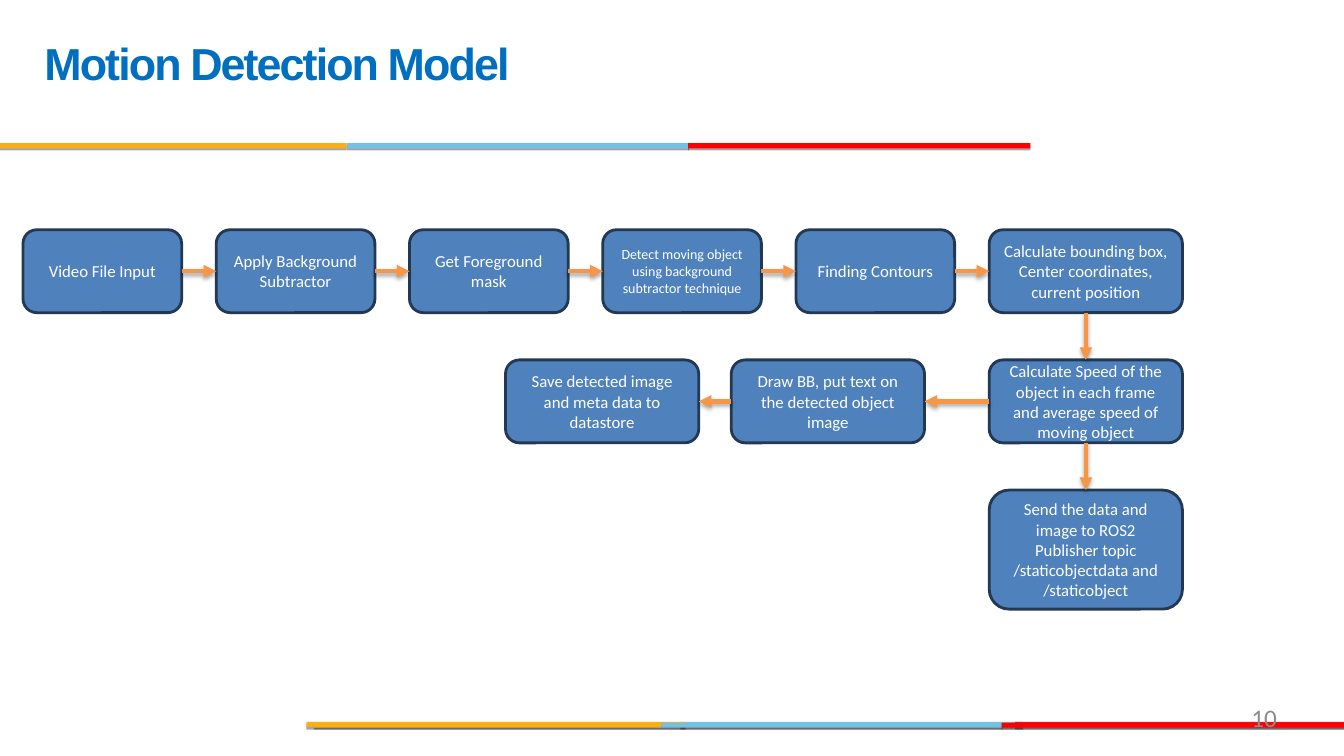
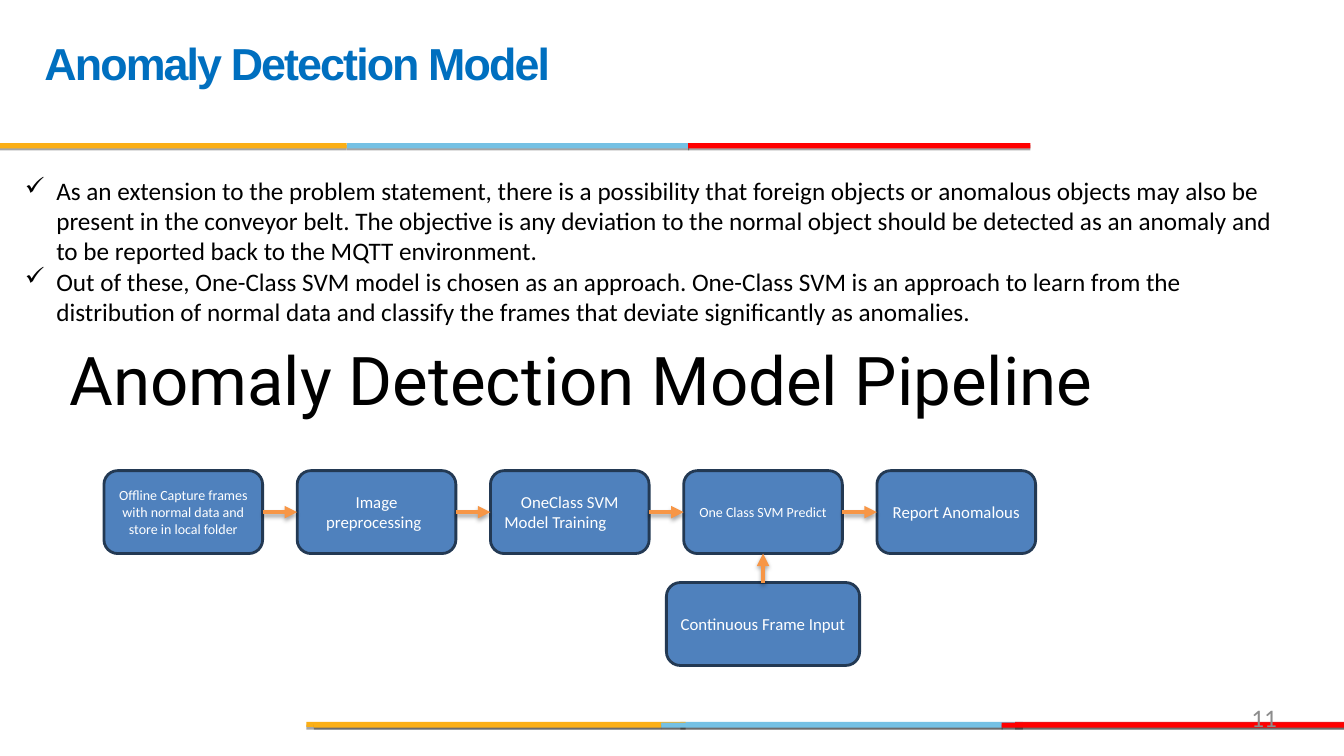
"""Build two slides showing the motion and anomaly detection pipelines."""
from lxml import etree
from pptx import Presentation
from pptx.dml.color import RGBColor
from pptx.enum.shapes import MSO_CONNECTOR, MSO_SHAPE
from pptx.enum.text import MSO_ANCHOR, PP_ALIGN
from pptx.oxml.ns import qn
from pptx.util import Cm, Pt

RECT, ROUNDED = MSO_SHAPE.RECTANGLE, MSO_SHAPE.ROUNDED_RECTANGLE
STRAIGHT = MSO_CONNECTOR.STRAIGHT
LEFT, CENTER, RIGHT = PP_ALIGN.LEFT, PP_ALIGN.CENTER, PP_ALIGN.RIGHT
MIDDLE = MSO_ANCHOR.MIDDLE
TOP_SIDE, LEFT_SIDE, BOTTOM_SIDE, RIGHT_SIDE = range(4)

COLORS = {
    "title": "006FBF", "number": "8C8C8C", "text": "000000", "box_text": "FFFFFF",
    "box": "4F81BD", "box_line": "233953", "arrow": "F79646", "shadow": "000000",
    "amber": "FBAF16", "sky": "75C1E4", "red": "FF0000", "crimson": "E21B23",
}
BODY_FONT, TITLE_FONT, HEADING_FONT = "Calibri", "Arial", "Roboto"

BAR_H = 0.13
BANDS = [
    (18.19, 18.26, [(17.15, 8.63, "sky"), (25.58, 8.29, "crimson"), (7.72, 9.56, "amber")]),
    (18.21, 18.26, [(16.66, 8.61, "sky"), (7.91, 8.75, "amber"), (25.24, 8.63, "red")]),
    (3.61, 3.66, [(8.74, 8.63, "sky"), (0, 8.74, "amber"), (17.34, 8.63, "red")]),
]

BOX_W, WIDE_W, BOX_H, TALL_H = 4.0, 4.87, 2.09, 3.0
STEP_X, STEP_Y = 4.87, 3.28

MOTION = {
    "title": "Motion Detection Model",
    "number": "10",
    "origin": (0.58, 5.79),
    "row": [
        ("Video File Input", 12, BOX_W),
        ("Apply Background Subtractor", 12, BOX_W),
        ("Get Foreground mask", 12, BOX_W),
        ("Detect moving object using background subtractor technique", 10, BOX_W),
        ("Finding Contours", 12, BOX_W),
        ("Calculate bounding box, Center coordinates, current position", 12, WIDE_W),
    ],
}
SPEED = "Calculate Speed of the object in each frame and average speed of moving object"
PUBLISH = ("Send the data and image to ROS2 Publisher topic "
           "/staticobjectdata and /staticobject")
DRAW = "Draw BB, put text on the detected object image"
SAVE = "Save detected image and meta data to datastore"
DRAW_X, SAVE_X = 18.43, 12.74

ANOMALY = {
    "title": "Anomaly Detection Model",
    "number": "11",
    "origin": (2.62, 11.86),
    "row": [
        ("Offline Capture frames with normal data and store in local folder", 10, BOX_W),
        ("Image preprocessing\t", 12, BOX_W),
        ("OneClass SVM Model Training\t", 12, BOX_W),
        ("One Class SVM Predict", 10, BOX_W),
        ("Report Anomalous", 12, BOX_W),
    ],
}
BULLETS = [
    "As an extension to the problem statement, there is a possibility that foreign objects "
    "or anomalous objects may also be present in the conveyor belt. The objective is any "
    "deviation to the normal object should be detected as an anomaly and to be reported "
    "back to the MQTT environment.",
    "Out of these, One-Class SVM model is chosen as an approach. One-Class SVM is an "
    "approach to learn from the distribution of normal data and classify the frames that "
    "deviate significantly as anomalies.",
]
HEADING = "Anomaly Detection Model Pipeline"
FRAME_INPUT, FRAME_INPUT_Y, PREDICT = "Continuous Frame Input", 14.68, 3


def rgb(name):
    return RGBColor.from_string(COLORS[name])


def add_run(p, text, size, color, font=BODY_FONT):
    r = p.add_run()
    r.text = text
    r.font.size, r.font.name = Pt(size), font
    r.font.color.rgb = rgb(color)
    return r


def add_text(slide, x, y, w, h, inset=0):
    tf = slide.shapes.add_textbox(Cm(x), Cm(y), Cm(w), Cm(h)).text_frame
    tf.word_wrap = True
    tf.margin_left = tf.margin_right = Cm(inset)
    tf.margin_top = tf.margin_bottom = Cm(inset / 2)
    return tf


def add_bar(slide, x, y, w, color, alpha=None):
    sp = slide.shapes.add_shape(RECT, Cm(x), Cm(y), Cm(w), Cm(BAR_H))
    sp.shadow.inherit = False
    sp.fill.solid()
    sp.fill.fore_color.rgb = rgb(color)
    sp.line.fill.background()
    if alpha:
        clr = sp.element.spPr.find(qn("a:solidFill"))[0]
        etree.SubElement(clr, qn("a:alpha"), val=str(alpha * 1000))
    return sp


def add_bands(slide, layout):
    """Draw the colour bands and move them to the shared layout."""
    tree = layout.shapes.element
    for ph in list(layout.placeholders):
        tree.remove(ph.element)
    bars = []
    for top, shadow_top, segments in BANDS:
        for x, w, color in segments:
            bars.append(add_bar(slide, x, shadow_top, w, "shadow", 35))
            bars.append(add_bar(slide, x, top, w, color))
    for bar in bars:
        tree.append(bar.element)


def add_box(slide, x, y, text, size=12, w=WIDE_W, h=BOX_H):
    sp = slide.shapes.add_shape(ROUNDED, Cm(x), Cm(y), Cm(w), Cm(h))
    sp.shadow.inherit = False
    sp.fill.solid()
    sp.fill.fore_color.rgb = rgb("box")
    sp.line.color.rgb = rgb("box_line")
    sp.line.width = Pt(2)
    tf = sp.text_frame
    tf.word_wrap, tf.vertical_anchor = True, MIDDLE
    p = tf.paragraphs[0]
    p.alignment = CENTER
    add_run(p, text, size, "box_text")
    return sp


def add_arrow(slide, start, end, from_side=RIGHT_SIDE, to_side=LEFT_SIDE):
    line = slide.shapes.add_connector(STRAIGHT, 0, 0, 0, 0)
    line.begin_connect(start, from_side)
    line.end_connect(end, to_side)
    line.line.color.rgb = rgb("arrow")
    line.line.width = Pt(3)
    etree.SubElement(line.line._get_or_add_ln(), qn("a:tailEnd"), type="triangle")
    effects = etree.SubElement(line.element.spPr, qn("a:effectLst"))
    shadow = etree.SubElement(effects, qn("a:outerShdw"), blurRad=str(Pt(3.1)),
                              dist=str(Pt(1.8)), dir="5400000", rotWithShape="0")
    clr = etree.SubElement(shadow, qn("a:srgbClr"), val=COLORS["shadow"])
    etree.SubElement(clr, qn("a:alpha"), val="35000")


def add_row(slide, data):
    x, y = data["origin"]
    boxes = [add_box(slide, x + i * STEP_X, y, text, size, w)
             for i, (text, size, w) in enumerate(data["row"])]
    for start, end in zip(boxes, boxes[1:]):
        add_arrow(slide, start, end)
    return boxes


def add_slide(prs, layout, data):
    slide = prs.slides.add_slide(layout)
    tf = add_text(slide, 1.12, 0.86, 23.77, 1.4)
    tf.margin_top = Cm(0.03)
    p = tf.paragraphs[0]
    p.space_before = Pt(1)
    r = add_run(p, data["title"], 32, "title", TITLE_FONT)
    r.font.bold = True
    r.font._element.set("spc", "-140")
    p = add_text(slide, 24.38, 17.7, 7.8, 0.76).paragraphs[0]
    p.alignment = RIGHT
    add_run(p, data["number"], 18, "number")
    return slide


def build_motion(slide):
    bounding = add_row(slide, MOTION)[-1]
    x, y = MOTION["origin"]
    x += STEP_X * (len(MOTION["row"]) - 1)
    speed = add_box(slide, x, y + STEP_Y, SPEED)
    publish = add_box(slide, x, y + 2 * STEP_Y, PUBLISH, h=TALL_H)
    draw = add_box(slide, DRAW_X, y + STEP_Y, DRAW)
    save = add_box(slide, SAVE_X, y + STEP_Y, SAVE)
    for start, end in [(bounding, speed), (speed, publish)]:
        add_arrow(slide, start, end, BOTTOM_SIDE, TOP_SIDE)
    for start, end in [(speed, draw), (draw, save)]:
        add_arrow(slide, start, end, LEFT_SIDE, RIGHT_SIDE)


def build_anomaly(slide):
    tf = add_text(slide, 0.38, 4.29, 32.21, 4.88, 0.25)
    for i, text in enumerate(BULLETS):
        p = tf.add_paragraph() if i else tf.paragraphs[0]
        p.alignment = LEFT
        pPr = p._p.get_or_add_pPr()
        pPr.set("marL", str(Cm(0.79)))
        pPr.set("indent", str(-Cm(0.79)))
        etree.SubElement(pPr, qn("a:buChar"), char="✓")
        add_run(p, text, 18, "text")
    p = add_text(slide, 1.75, 8.53, 31, 2.57).paragraphs[0]
    add_run(p, HEADING, 48, "text", HEADING_FONT)
    predict = add_row(slide, ANOMALY)[PREDICT]
    x = ANOMALY["origin"][0] + PREDICT * STEP_X + (BOX_W - WIDE_W) / 2
    frames = add_box(slide, x, FRAME_INPUT_Y, FRAME_INPUT)
    add_arrow(slide, frames, predict, TOP_SIDE, BOTTOM_SIDE)


def main():
    prs = Presentation()
    prs.slide_width, prs.slide_height = Cm(33.87), Cm(19.05)
    layout = prs.slide_layouts[6]
    motion = add_slide(prs, layout, MOTION)
    add_bands(motion, layout)
    build_motion(motion)
    build_anomaly(add_slide(prs, layout, ANOMALY))
    prs.save("out.pptx")


if __name__ == "__main__":
    main()
